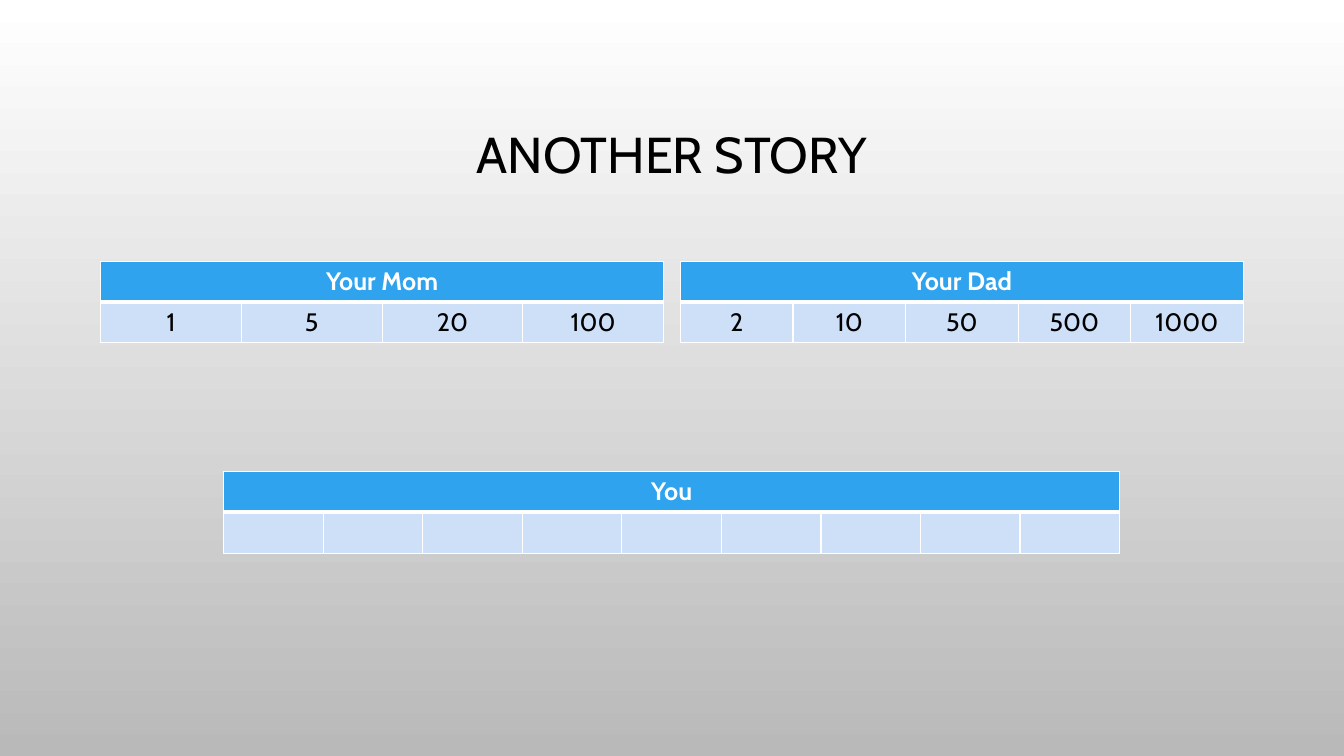
from lxml.etree import SubElement
from pptx import Presentation
from pptx.dml.color import RGBColor
from pptx.enum.text import MSO_ANCHOR, PP_ALIGN
from pptx.oxml.ns import qn
from pptx.util import Cm, Pt

FONT = "Cabin"
WHITE = "FFFFFF"
BLACK = "000000"
HEADER_BLUE = "2FA3EE"
BODY_BLUE = "CDE0F8"
ROW_HEIGHT = 1.03


def colour(value):
    return RGBColor.from_string(value)


def paint_background(page, top, bottom):
    fill = page.background.fill
    fill.gradient()
    fill.gradient_angle = 270
    for stop, value in zip(fill.gradient_stops, (top, bottom)):
        stop.color.rgb = colour(value)


def write(frame, text, size, value, bold=False):
    """Put one centred run into the first paragraph of a text frame."""
    para = frame.paragraphs[0]
    para.alignment = PP_ALIGN.CENTER
    para.font.size = Pt(size)
    if text:
        span = para.add_run()
        span.text = text
        span.font.name = FONT
        span.font.size = Pt(size)
        span.font.bold = bold
        span.font.color.rgb = colour(value)
    return para


def add_title(page, text):
    box = page.shapes.add_textbox(Cm(2.54), Cm(1.73), Cm(28.78), Cm(4.45))
    frame = box.text_frame
    frame.word_wrap = True
    frame.vertical_anchor = MSO_ANCHOR.MIDDLE
    write(frame, text, 36, BLACK).line_spacing = 0.9


def style_cell(cell, fill, top=1, bottom=1):
    """Set white borders, with top and bottom widths in points, then the fill."""
    properties = cell._tc.get_or_add_tcPr()
    for side, width in (("L", 1), ("R", 1), ("T", top), ("B", bottom)):
        line = SubElement(properties, qn(f"a:ln{side}"), w=str(Pt(width)))
        solid = SubElement(line, qn("a:solidFill"))
        SubElement(solid, qn("a:srgbClr"), val=WHITE)
    cell.fill.solid()
    cell.fill.fore_color.rgb = colour(fill)


def add_number_table(page, left, top, width, heading, values):
    """Add a table with one merged heading above a row of values."""
    count = len(values)
    table = page.shapes.add_table(
        2, count, Cm(left), Cm(top), Cm(width), Cm(2 * ROW_HEIGHT)
    ).table
    for column, value in enumerate(values):
        style_cell(table.cell(0, column), HEADER_BLUE, bottom=3)
        body = table.cell(1, column)
        style_cell(body, BODY_BLUE, top=3)
        write(body.text_frame, value, 18, BLACK)
    header = table.cell(0, 0)
    header.merge(table.cell(0, count - 1))
    write(header.text_frame, heading, 18, WHITE, bold=True)


def main():
    deck = Presentation()
    deck.slide_width, deck.slide_height = Cm(33.87), Cm(19.05)
    page = deck.slides.add_slide(deck.slide_layouts[6])
    paint_background(page, WHITE, "B9B9B9")
    add_title(page, "ANOTHER STORY")
    add_number_table(page, 2.54, 6.58, 14.18, "Your Mom", ["1", "5", "20", "100"])
    add_number_table(
        page, 17.15, 6.58, 14.18, "Your Dad", ["2", "10", "50", "500", "1000"]
    )
    add_number_table(page, 5.64, 11.88, 22.58, "You", [""] * 9)
    deck.save("out.pptx")


if __name__ == "__main__":
    main()
